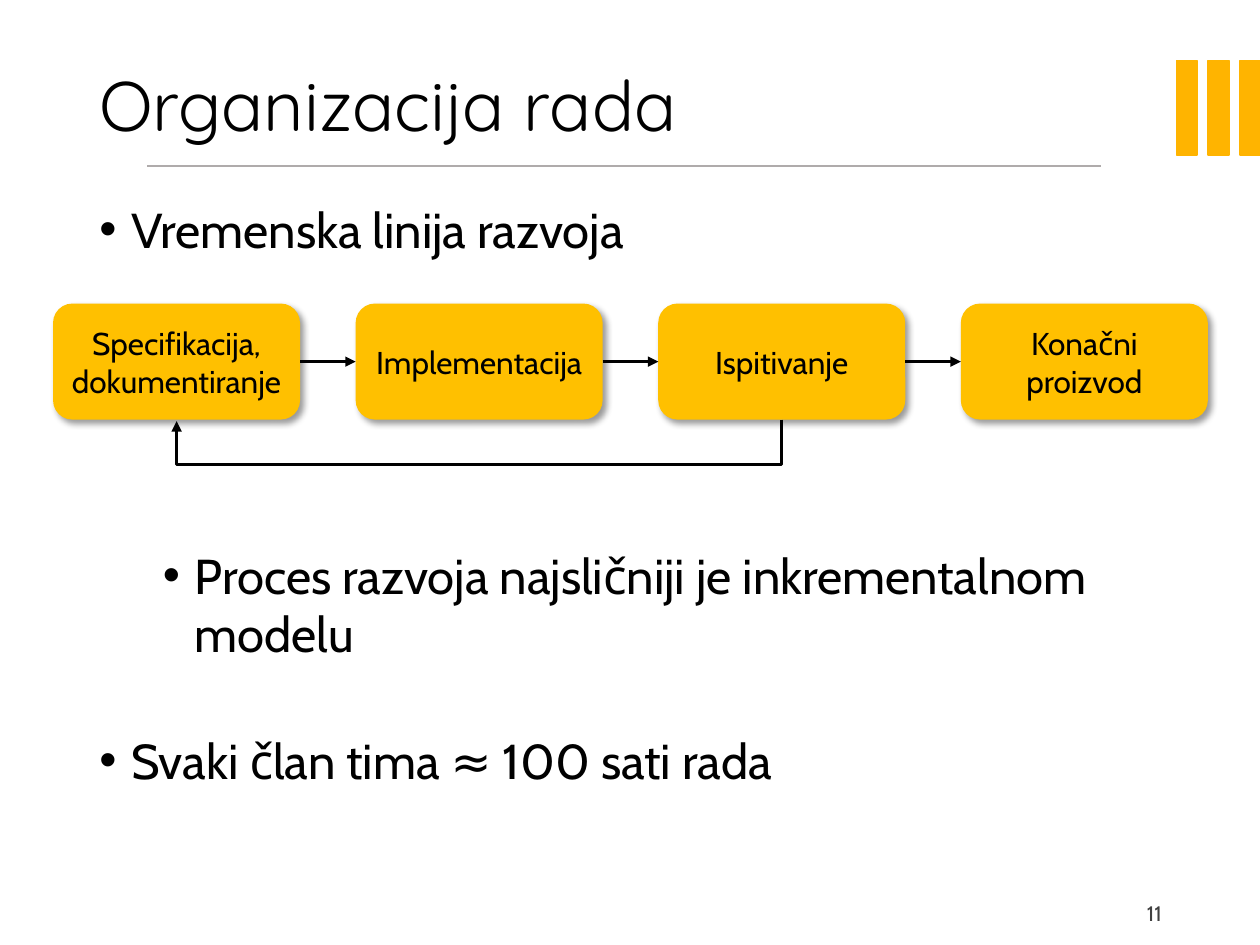
import pptx
import pptx.util
import pptx.dml.color
import pptx.oxml
import pptx.oxml.ns
from pptx.enum.shapes import MSO_CONNECTOR, MSO_SHAPE
from pptx.enum.text import MSO_ANCHOR, MSO_AUTO_SIZE, PP_ALIGN
from pptx.util import Cm, Pt

# Content
TITLE = "Organizacija rada"
BULLETS = [  # text, level, space before in points
    ("Vremenska linija razvoja", 0, 10),
    ("Proces razvoja najsličniji je inkrementalnom modelu", 1, 164),
    ("Svaki član tima ≈ 100 sati rada", 0, 38.5),
]
STAGES = ["Specifikacija, dokumentiranje", "Implementacija", "Ispitivanje", "Konačni proizvod"]
FEEDBACK = (2, 0)  # from testing back to specification
PAGE_NUMBER = "11"

# Layout in centimetres
STAGE_LEFT, STAGE_TOP, STAGE_WIDTH, STAGE_HEIGHT, STAGE_STEP = 1.07, 6.12, 4.98, 2.34, 6.1
FEEDBACK_DROP = 0.91
BAR_LEFT, BAR_TOP, BAR_WIDTH, BAR_HEIGHT, BAR_STEP = 23.72, 1.22, 0.41, 1.9, 0.64
INDENT = 0.64

BLACK, AMBER, GOLD, GREY, DARK = "000000", "FFB400", "FFC000", "AFABAB", "404040"
NAMESPACE = pptx.oxml.ns.nsdecls("a")


def color(hex_text):
    return pptx.dml.color.RGBColor.from_string(hex_text)


def format_text(paragraph, size, font="Cabin", hex_text=BLACK, align=PP_ALIGN.LEFT):
    paragraph.alignment = align
    for run in paragraph.runs:
        run.font.name = font
        run.font.size = Pt(size)
        run.font.color.rgb = color(hex_text)


def place(shape, left, top, width, height):
    shape.left, shape.top, shape.width, shape.height = Cm(left), Cm(top), Cm(width), Cm(height)


def add_box(slide, kind, left, top, width, height, fill):
    shape = slide.shapes.add_shape(kind, Cm(left), Cm(top), Cm(width), Cm(height))
    shape.shadow.inherit = False
    shape.fill.solid()
    shape.fill.fore_color.rgb = color(fill)
    shape.line.fill.background()
    return shape


def add_line(slide, kind, start, end, hex_text, width, arrow=False):
    line = slide.shapes.add_connector(kind, *(Cm(value) for value in start + end))
    line.line.color.rgb = color(hex_text)
    line.line.width = Pt(width)
    if arrow:
        line.line._get_or_add_ln().append(
            pptx.oxml.parse_xml(f'<a:tailEnd {NAMESPACE} type="triangle"/>'))
    line._element.spPr.append(pptx.oxml.parse_xml(f"<a:effectLst {NAMESPACE}/>"))
    return line


def add_bars_and_rule(slide):
    for index in range(3):
        bar = add_box(slide, MSO_SHAPE.RECTANGLE, BAR_LEFT + index * BAR_STEP, BAR_TOP,
                      BAR_WIDTH, BAR_HEIGHT, AMBER)
        bar.line.color.rgb = color(AMBER)
        bar.line.width = Pt(1)
    add_line(slide, MSO_CONNECTOR.STRAIGHT, (2.97, 3.35), (22.2, 3.35), GREY, 1)


def fill_title(title):
    place(title, 1.75, 1.02, 21.9, 2.34)
    title.text_frame.text = TITLE
    title.text_frame.auto_size = MSO_AUTO_SIZE.NONE
    title.text_frame.vertical_anchor = MSO_ANCHOR.MIDDLE
    paragraph = title.text_frame.paragraphs[0]
    paragraph.line_spacing = 0.9
    format_text(paragraph, 40, "Quicksand")


def fill_body(body):
    place(body, 1.75, 3.89, 21.9, 13.69)
    frame = body.text_frame
    frame.text = "\n".join(text for text, _, _ in BULLETS)
    frame.auto_size = MSO_AUTO_SIZE.NONE
    for paragraph, (_, level, space) in zip(frame.paragraphs, BULLETS):
        paragraph.level = level
        paragraph.space_before = Pt(space)
        format_text(paragraph, 28)
        properties = paragraph._p.get_or_add_pPr()
        properties.set("marL", str(Cm(INDENT * (1 + 2 * level))))
        properties.set("indent", str(-Cm(INDENT)))
        properties.append(pptx.oxml.parse_xml(f'<a:buFont {NAMESPACE} typeface="Arial"/>'))
        properties.append(pptx.oxml.parse_xml(f'<a:buChar {NAMESPACE} char="•"/>'))


def add_stage(slide, index, text):
    stage = add_box(slide, MSO_SHAPE.ROUNDED_RECTANGLE, STAGE_LEFT + index * STAGE_STEP,
                    STAGE_TOP, STAGE_WIDTH, STAGE_HEIGHT, GOLD)
    stage._element.spPr.find(pptx.oxml.ns.qn("a:effectLst")).append(pptx.oxml.parse_xml(
        f'<a:outerShdw {NAMESPACE} blurRad="{Pt(4)}" dist="{Pt(3)}" dir="2700000">'
        f'<a:srgbClr val="{BLACK}"><a:alpha val="40000"/></a:srgbClr></a:outerShdw>'))
    stage.text_frame.word_wrap = True
    stage.text_frame.vertical_anchor = MSO_ANCHOR.MIDDLE
    stage.text_frame.text = text
    format_text(stage.text_frame.paragraphs[0], 18, align=PP_ALIGN.CENTER)
    return stage


def add_feedback(slide, source, target):
    """Elbow that leaves the source downwards and returns up into the target."""
    line = add_line(slide, MSO_CONNECTOR.ELBOW, (0, 0), (1, 1), BLACK, 1.5, arrow=True)
    line.begin_connect(source, 2)
    line.end_connect(target, 2)
    # A quarter turn swaps the sides: the span becomes the height
    thickness = 0.03
    span = STAGE_STEP * (FEEDBACK[0] - FEEDBACK[1])
    center = STAGE_LEFT + STAGE_WIDTH / 2 + STAGE_STEP * sum(FEEDBACK) / 2
    bottom = STAGE_TOP + STAGE_HEIGHT
    place(line, center - thickness / 2, bottom + thickness / 2 - span / 2, thickness, span)
    transform = line._element.spPr.find(pptx.oxml.ns.qn("a:xfrm"))
    for name in ("flipH", "flipV"):
        transform.attrib.pop(name, None)
    transform.set("rot", "5400000")
    guides = line._element.spPr.find(pptx.oxml.ns.qn("a:prstGeom")).get_or_add_avLst()
    ratio = round(FEEDBACK_DROP / thickness * 100000)
    guides.append(pptx.oxml.parse_xml(f'<a:gd {NAMESPACE} name="adj1" fmla="val {ratio}"/>'))


def add_timeline(slide):
    stages = [add_stage(slide, index, text) for index, text in enumerate(STAGES)]
    for source, target in zip(stages, stages[1:]):
        arrow = add_line(slide, MSO_CONNECTOR.STRAIGHT, (0, 0), (1, 1), BLACK, 1.5, arrow=True)
        arrow.begin_connect(source, 3)
        arrow.end_connect(target, 1)
    add_feedback(slide, *(stages[index] for index in FEEDBACK))


def add_page_number(slide):
    box = slide.shapes.add_textbox(Cm(22.2), Cm(18.03), Cm(1.47), Cm(1.02))
    box.text_frame.word_wrap = True
    box.text_frame.text = PAGE_NUMBER
    format_text(box.text_frame.paragraphs[0], 12, hex_text=DARK, align=PP_ALIGN.RIGHT)


def main():
    presentation = pptx.Presentation()
    presentation.slide_width, presentation.slide_height = Cm(25.4), Cm(19.05)
    slide = presentation.slides.add_slide(presentation.slide_layouts[1])
    add_bars_and_rule(slide)
    fill_title(slide.shapes.title)
    fill_body(slide.placeholders[1])
    add_page_number(slide)
    add_timeline(slide)
    presentation.save("out.pptx")


if __name__ == "__main__":
    main()
